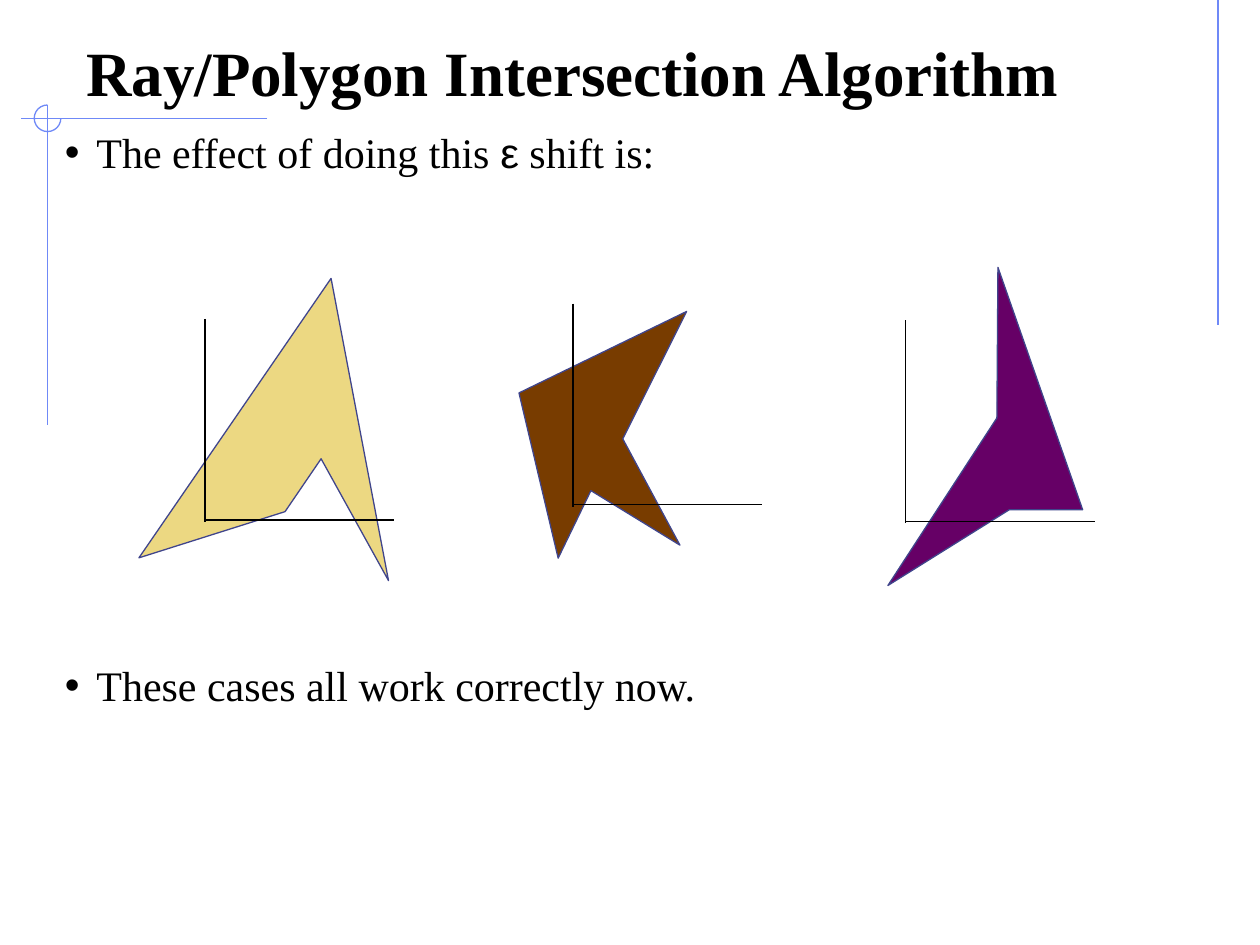
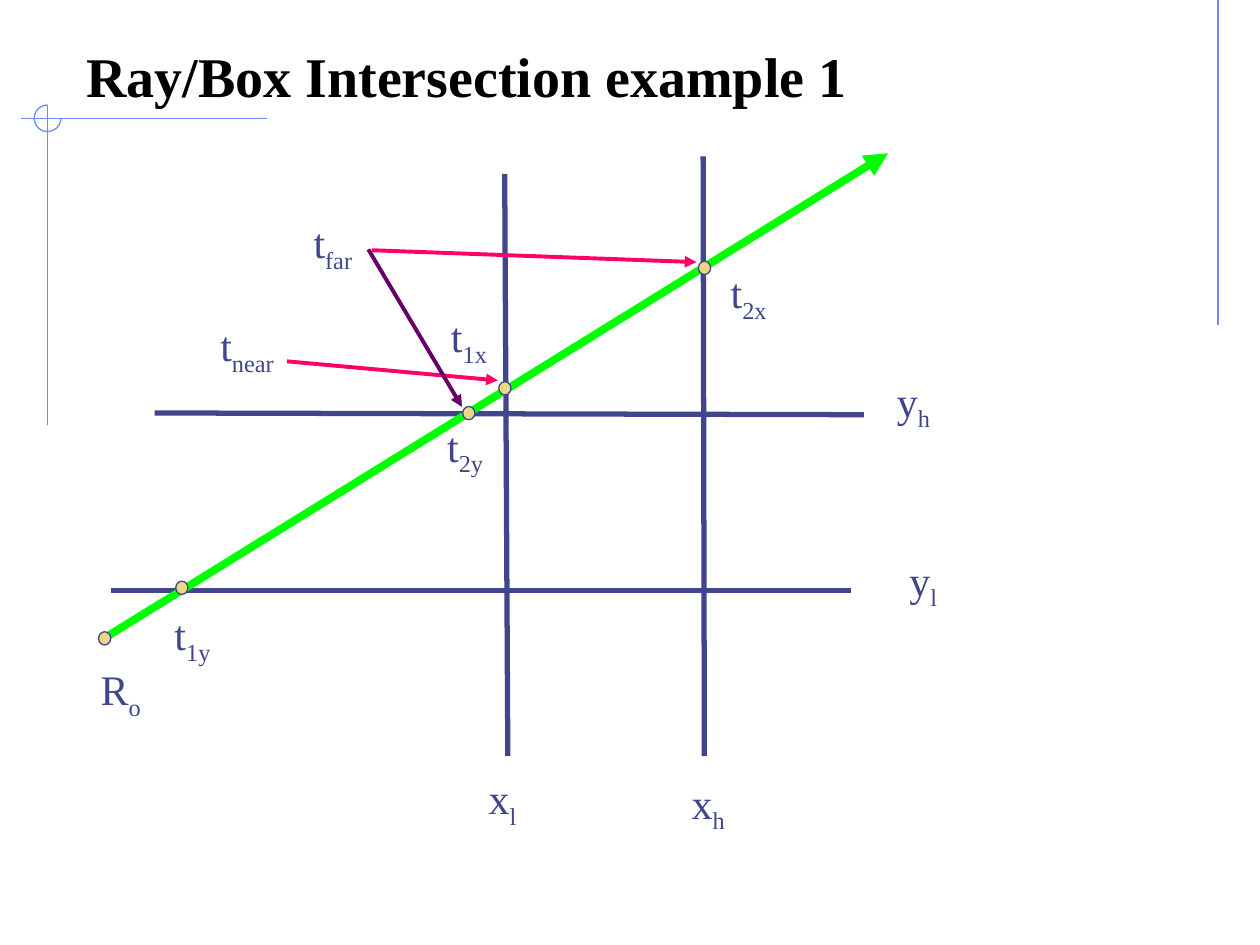
from lxml.etree import SubElement
from pptx import Presentation
from pptx.dml.color import RGBColor
from pptx.enum.shapes import MSO_CONNECTOR, MSO_SHAPE
from pptx.enum.text import MSO_ANCHOR, MSO_AUTO_SIZE, PP_ALIGN
from pptx.oxml.ns import qn
from pptx.util import Pt

BLACK = RGBColor(0x00, 0x00, 0x00)
FRAME = RGBColor(0x6F, 0x89, 0xF7)
NAVY = RGBColor(0x40, 0x45, 0x8C)
SAND = RGBColor(0xEC, 0xD8, 0x82)
BROWN = RGBColor(0x78, 0x3C, 0x00)
PLUM = RGBColor(0x66, 0x00, 0x66)
GREEN = RGBColor(0x00, 0xFF, 0x00)
PINK = RGBColor(0xFF, 0x00, 0x66)
SERIF = "Times New Roman"


def add_line(slide, start, end, color, width, arrow=False):
    line = slide.shapes.add_connector(
        MSO_CONNECTOR.STRAIGHT, *[Pt(v) for v in (*start, *end)])
    line.line.color.rgb = color
    line.line.width = Pt(width)
    if arrow:
        SubElement(line.line._get_or_add_ln(), qn("a:tailEnd"), type="triangle")
    SubElement(line._element.spPr, qn("a:effectLst"))


def paint(shape, fill, edge):
    shape.shadow.inherit = False
    if fill is None:
        shape.fill.background()
    else:
        shape.fill.solid()
        shape.fill.fore_color.rgb = fill
    shape.line.color.rgb = edge
    shape.line.width = Pt(0.75)


deck = Presentation()
deck.slide_width, deck.slide_height = Pt(720), Pt(540)

# Frame and title on every slide
slides = []
for words, size in [("Ray/Polygon Intersection Algorithm", 36),
                    ("Ray/Box Intersection example 1", 32)]:
    slide = deck.slides.add_slide(deck.slide_layouts[5])
    slides.append(slide)
    for start, end in [((696, 0), (696, 186)),
                       ((152.6, 67.6), (12, 67.6)),
                       ((27.2, 60), (27.2, 243))]:
        add_line(slide, start, end, FRAME, 0.75)
    arc = slide.shapes.add_shape(MSO_SHAPE.ARC, Pt(19.6), Pt(60), Pt(15.2), Pt(15.2))
    arc.adjustments[0] = 0
    arc.adjustments[1] = 162  # 270 degrees
    paint(arc, None, FRAME)

    title = slide.shapes.title
    title.left, title.top, title.width, title.height = Pt(42), Pt(18), Pt(636), Pt(48)
    frame = title.text_frame
    frame.text = words
    frame.auto_size = MSO_AUTO_SIZE.NONE
    frame.vertical_anchor = MSO_ANCHOR.BOTTOM
    para = frame.paragraphs[0]
    para.alignment = PP_ALIGN.LEFT
    para.font.name, para.font.size, para.font.bold = SERIF, Pt(size), True
    para.font.color.rgb = BLACK

polys, box = slides

# Bullets above and below the polygons
body = polys.shapes.add_textbox(Pt(30), Pt(72), Pt(660), Pt(336)).text_frame
body.word_wrap = True
bullets = [(["The effect of doing this ", "ε", " shift is:"], 0),
           (["These cases all work correctly now."], 278.5)]
for i, (parts, gap) in enumerate(bullets):
    para = body.add_paragraph() if i else body.paragraphs[0]
    para.line_spacing = 0.9
    para.space_before = Pt(gap)
    props = para._p.get_or_add_pPr()
    props.set("marL", str(Pt(18)))
    props.set("indent", str(-Pt(18)))
    SubElement(props, qn("a:buFont"), typeface="Arial")
    SubElement(props, qn("a:buChar"), char="•")
    para.font.name, para.font.size = SERIF, Pt(24)
    para.font.color.rgb = BLACK
    for part in parts:
        run = para.add_run()
        run.text = part
        if part == "ε":
            run.font.name = "Arial"

# Polygons, each with a pair of axes from its top left
shapes = [
    (BROWN, (327.5, 173.5), [(296.6, 224.6), (319, 319), (337.7, 280.4),
                             (388.6, 311.6), (355.9, 250.8), (392.4, 178)]),
    (SAND, (117.2, 182.2), [(79.4, 318.8), (162.9, 292.4), (183.5, 262.2),
                            (222, 331.8), (189.2, 159.1)]),
    (PLUM, (517.6, 182.9), [(569.7, 238.9), (507.4, 334.6), (576.8, 291.3),
                            (618.7, 291.3), (570.3, 152.8)]),
]
for fill, (x, y), points in shapes:
    first, *rest = [(Pt(px), Pt(py)) for px, py in points]
    pen = polys.shapes.build_freeform(*first)
    pen.add_line_segments(rest)
    paint(pen.convert_to_shape(), fill, NAVY)
    add_line(polys, (x, y), (x, y + 116), BLACK, 0.75)
    add_line(polys, (x, y + 115), (x + 108, y + 115), BLACK, 0.75)

# Slab edges and ray
for start, end in [((401.8, 89.4), (402.5, 432)), ((288.4, 99.4), (290.2, 432)),
                   ((88.4, 236), (493.7, 237)), ((63.3, 337.5), (486.5, 337.5))]:
    add_line(box, start, end, NAVY, 3)
add_line(box, (57.8, 365.8), (507.5, 87.6), GREEN, 4.5, True)

# Hit points
for x, y in [(59.8, 364.8), (103.9, 335.9), (267.9, 236.1), (402.6, 153.1), (288.5, 221.9)]:
    dot = box.shapes.add_shape(MSO_SHAPE.OVAL, Pt(x - 3.5), Pt(y - 3.8), Pt(7), Pt(7.6))
    paint(dot, SAND, NAVY)

# Labels with subscripts
labels = [("y", "h", 505.4, 211, 34.6), ("y", "l", 512.6, 313.2, 31),
          ("x", "h", 388.1, 440.6, 34.6), ("x", "l", 272.2, 438.1, 31),
          ("R", "o", 50.4, 375.8, 38.2), ("t", "1y", 92.6, 344.2, 37.4),
          ("t", "2y", 248.4, 236.5, 37.4), ("t", "2x", 410.4, 149, 37.4),
          ("t", "1x", 250.6, 174.2, 37.4), ("t", "far", 172.1, 120.2, 38.9),
          ("t", "near", 118.8, 179.3, 49)]
for name, sub, x, y, width in labels:
    frame = box.shapes.add_textbox(Pt(x), Pt(y), Pt(width), Pt(36)).text_frame
    frame.word_wrap = False
    frame.auto_size = MSO_AUTO_SIZE.SHAPE_TO_FIT_TEXT
    para = frame.paragraphs[0]
    para.font.name, para.font.size = SERIF, Pt(24)
    para.font.color.rgb = NAVY
    para.add_run().text = name
    low = para.add_run()
    low.text = sub
    low._r.get_or_add_rPr().set("baseline", "-25000")

# Arrows to the near and far hits
for start, end, color in [((212.4, 143), (398, 149.8), PINK),
                          ((164, 206.5), (284.5, 217.4), PINK),
                          ((210.5, 142.5), (264, 232.5), PLUM)]:
    add_line(box, start, end, color, 2.25, True)

deck.save("out.pptx")
